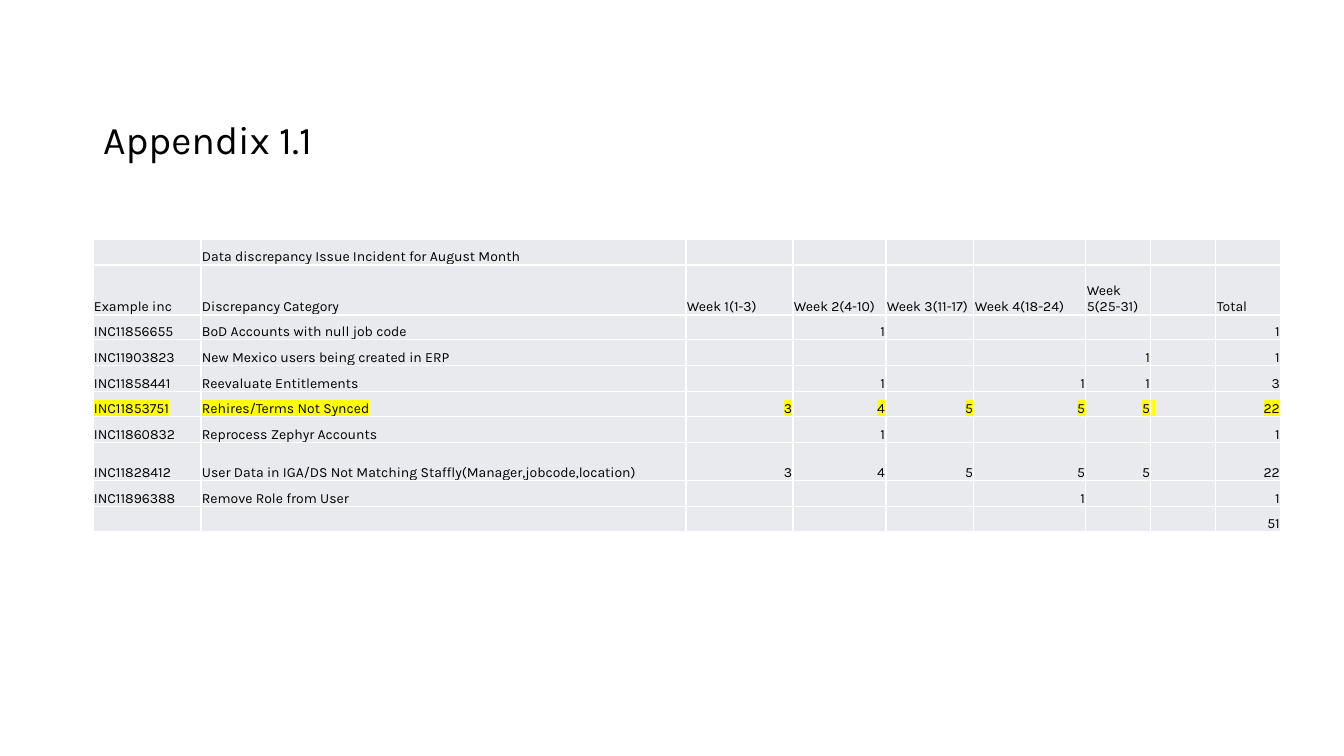
from lxml import etree
from pptx import Presentation
from pptx import util as u
from pptx.dml.color import RGBColor
from pptx.enum import text
from pptx.oxml import ns

PX = 914400 / 100.8
FONT = "Karla"
COLORS = {"ink": "000000", "cell": "E8EAED", "rule": "FFFFFF", "mark": "FFFF00"}

COLS = [108, 485, 107, 93, 88, 112, 65, 65, 65]
ROWS = [26, 50, 25, 26, 26, 25, 26, 38, 26, 25]
MARKED = 5  # highlighted row
DATA = [
    ["", "Data discrepancy Issue Incident for August Month"] + [""] * 7,
    ["Example inc", "Discrepancy Category", "Week 1(1-3)", "Week 2(4-10)",
     "Week 3(11-17)", "Week 4(18-24)", "Week 5(25-31)", "", "Total"],
    ["INC11856655", "BoD Accounts with null job code", "", "1", "", "", "", "", "1"],
    ["INC11903823", "New Mexico users being created in ERP", "", "", "", "", "1", "", "1"],
    ["INC11858441", "Reevaluate Entitlements", "", "1", "", "1", "1", "", "3"],
    ["INC11853751", "Rehires/Terms Not Synced", "3", "4", "5", "5", "5", " ", "22"],
    ["INC11860832", "Reprocess Zephyr Accounts", "", "1", "", "", "", "", "1"],
    ["INC11828412", "User Data in IGA/DS Not Matching Staffly(Manager,jobcode,location)",
     "3", "4", "5", "5", "5", "", "22"],
    ["INC11896388", "Remove Role from User", "", "", "", "1", "", "", "1"],
    [""] * 8 + ["51"],
]


def px(n):
    return u.Emu(round(n * PX))


def rgb(name):
    return RGBColor.from_string(COLORS[name])


def style(para, size):
    para.font.name = FONT
    para.font.size = u.Pt(size)
    para.font.color.rgb = rgb("ink")


def tint(parent, name):
    fill = etree.SubElement(parent, ns.qn("a:solidFill"))
    etree.SubElement(fill, ns.qn("a:srgbClr"), val=COLORS[name])


def add_title(slide, x, y, w, h):
    title = slide.shapes.title
    title.left, title.top, title.width, title.height = map(px, (x, y, w, h))
    frame = title.text_frame
    frame.text = "Appendix 1.1"
    frame.auto_size = text.MSO_AUTO_SIZE.NONE
    frame.vertical_anchor = text.MSO_ANCHOR.BOTTOM
    para = frame.paragraphs[0]
    para.alignment = text.PP_ALIGN.LEFT
    para.line_spacing = 0.9
    style(para, 28)


def fill_cell(cell, words, right, marked):
    # Borders come before the fill in the cell properties
    props = cell._tc.get_or_add_tcPr()
    for side in ("lnL", "lnR", "lnT", "lnB"):
        tint(etree.SubElement(props, ns.qn("a:" + side), w=str(u.Pt(1))), "rule")
    cell.fill.solid()
    cell.fill.fore_color.rgb = rgb("cell")
    cell.margin_left = cell.margin_right = cell.margin_top = px(1)
    cell.margin_bottom = 0
    cell.vertical_anchor = text.MSO_ANCHOR.BOTTOM

    para = cell.text_frame.paragraphs[0]
    para.alignment = text.PP_ALIGN.RIGHT if right else text.PP_ALIGN.LEFT
    style(para, 10)
    if not words:
        # Keeps empty cells from stretching their row
        etree.SubElement(para._p, ns.qn("a:endParaRPr"), sz="1000")
        return
    run = para.add_run()
    run.text = words
    if marked:
        mark = etree.SubElement(run._r.get_or_add_rPr(), ns.qn("a:highlight"))
        etree.SubElement(mark, ns.qn("a:srgbClr"), val=COLORS["mark"])


def add_grid(slide, x, y):
    frame = slide.shapes.add_table(len(ROWS), len(COLS), px(x), px(y),
                                   px(sum(COLS)), px(sum(ROWS)))
    table = frame.table
    table.first_row = table.horz_banding = False
    for col, wide in zip(table.columns, COLS):
        col.width = px(wide)
    for row, high in zip(table.rows, ROWS):
        row.height = px(high)
    for r, line in enumerate(DATA):
        for c, words in enumerate(line):
            # Counts are right-aligned below the two heading rows
            right = r > 1 and 1 < c and words != " "
            fill_cell(table.cell(r, c), words, right, r == MARKED)


def main():
    deck = Presentation()
    deck.slide_width, deck.slide_height = px(1344), px(756)
    slide = deck.slides.add_slide(deck.slide_layouts[0])
    sub = slide.placeholders[1].element
    sub.getparent().remove(sub)
    add_title(slide, 93, 64, 1008, 104)
    add_grid(slide, 93, 239)
    deck.save("out.pptx")


if __name__ == "__main__":
    main()
